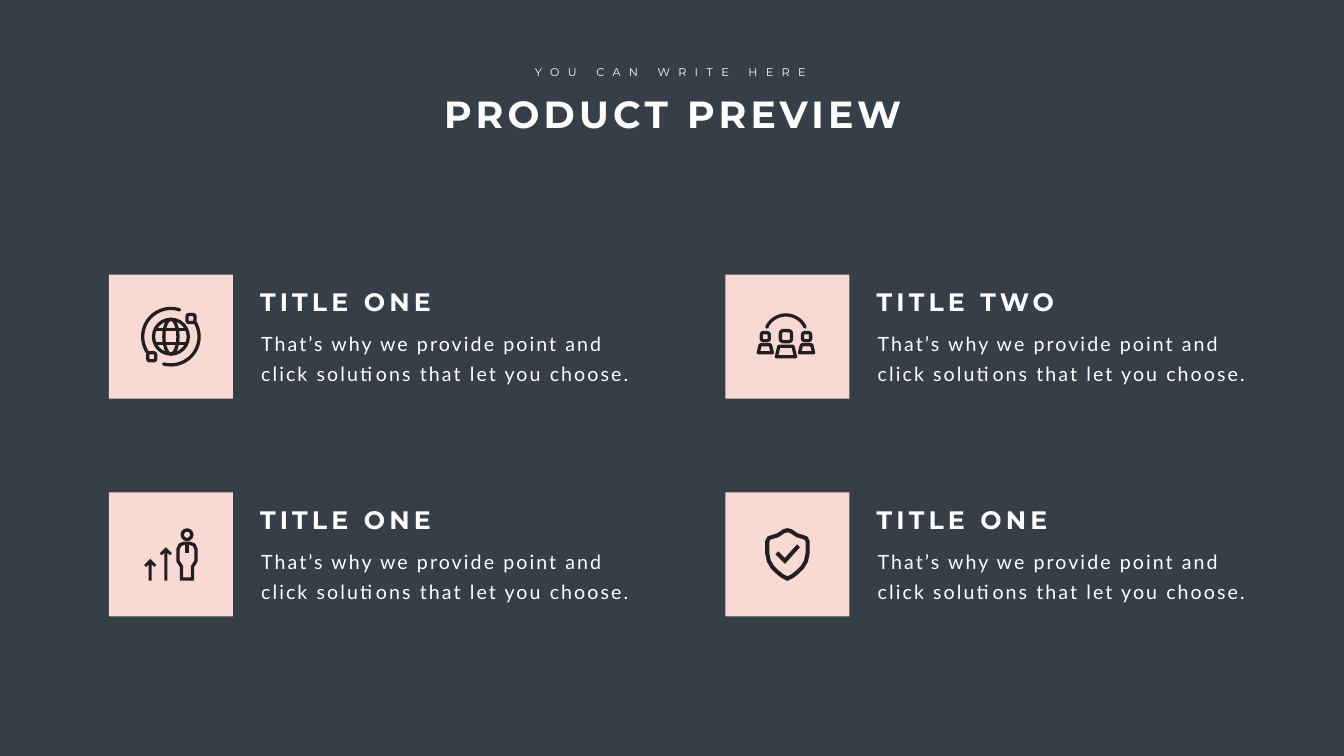
from math import cos, radians, sin

from lxml.etree import SubElement
from pptx import Presentation
from pptx.dml.color import RGBColor
from pptx.enum.shapes import MSO_CONNECTOR, MSO_SHAPE
from pptx.enum.text import MSO_ANCHOR, MSO_AUTO_SIZE, PP_ALIGN
from pptx.oxml.ns import qn
from pptx.util import Inches, Pt


def arc(center_x, center_y, radius, start, end, step_count=24):
    angles = [radians(start + (end - start) * step / step_count) for step in range(step_count + 1)]
    return [(center_x + radius * cos(angle), center_y + radius * sin(angle)) for angle in angles]


def torso(center_x, top, bottom, half_top, half_bottom):
    return [(center_x - half_top, top), (center_x + half_top, top),
            (center_x + half_bottom, bottom), (center_x - half_bottom, bottom)]


def mirrored(half, axis=0):
    points = half + [(-x, y) for x, y in reversed(half[1:-1])]
    return [(axis + x, y) for x, y in points]


def arrow(x, tip, base=0.52):
    return mirrored([(0, tip), (0.12, tip + 0.12), (0.08, tip + 0.16), (0.03, tip + 0.11),
                     (0.03, base), (0, base)], x)


BACKGROUND, TILE, INK, WHITE = "363E48", "F9D9D3", "231F20", "FFFFFF"
TITLE = "PRODUCT PREVIEW"
SUBTITLE = "YOU CAN WRITE HERE"
BODY = "That’s why we provide point and click solutions that let you choose."

GLOBE = [
    ("oval", (0, 0, 0.69, 0.69)),
    ("oval", (0, 0, 0.28, 0.69)),
    ("path", [(-0.3, -0.14), (0.3, -0.14)]),
    ("path", [(-0.3, 0.14), (0.3, 0.14)]),
    ("path", arc(0, 0, 0.56, -29, 105)),
    ("path", arc(0, 0, 0.56, 147, 288)),
    ("round", (0.4, -0.36, 0.16, 0.16)),
    ("round", (-0.38, 0.4, 0.16, 0.16)),
]
TEAM = [
    ("round", (-0.03, -0.01, 0.22, 0.22)),
    ("round", (-0.44, 0, 0.16, 0.16)),
    ("round", (0.38, 0, 0.16, 0.16)),
    ("loop", torso(-0.03, 0.19, 0.4, 0.14, 0.19)),
    ("loop", torso(-0.44, 0.16, 0.32, 0.1, 0.14)),
    ("loop", torso(0.38, 0.16, 0.32, 0.1, 0.14)),
    ("path", arc(-0.03, -0.01, 0.42, 205, 335)),
]
GROWTH = [
    ("oval", (0.32, -0.39, 0.19, 0.19)),
    ("loop", [(0.14, 0.13), (0.21, 0.24), (0.21, 0.49), (0.43, 0.49), (0.43, 0.24), (0.5, 0.13),
              (0.5, -0.1), (0.46, -0.19), (0.38, -0.22), (0.26, -0.22), (0.18, -0.19), (0.14, -0.1)]),
    ("path", [(0.32, -0.22), (0.32, -0.03)]),
    ("solid", arrow(-0.1, -0.14)),
    ("solid", arrow(-0.41, 0.09)),
]
SHIELD = [
    ("loop", mirrored([(0, -0.48), (0.07, -0.46), (0.19, -0.38), (0.32, -0.34), (0.37, -0.32),
                       (0.4, -0.26), (0.4, -0.02), (0.37, 0.13), (0.3, 0.25), (0.2, 0.35),
                       (0.1, 0.43), (0, 0.48)])),
    ("path", [(-0.21, -0.03), (-0.05, 0.13), (0.22, -0.17)]),
]
FEATURES = [("TITLE ONE", GLOBE, "rnd", 4.7), ("TITLE TWO", TEAM, "rnd", 4.7),
            ("TITLE ONE", GROWTH, "flat", 4.7), ("TITLE ONE", SHIELD, "flat", 5.8)]

COLUMNS = 2
LEFT, TOP, PITCH_X, PITCH_Y, TILE_SIZE = 2.16, 5.45, 12.23, 4.32, 2.46
PRESETS = {"oval": MSO_SHAPE.OVAL, "round": MSO_SHAPE.ROUNDED_RECTANGLE, "tile": MSO_SHAPE.RECTANGLE}
STYLES = {
    "title": ({"name": "Montserrat", "size": Pt(54), "bold": True}, 6),
    "subtitle": ({"name": "Montserrat", "size": Pt(16), "bold": False}, 12),
    "heading": ({"name": "Montserrat", "size": Pt(36), "bold": True}, 6),
    "body": ({"name": "Lato", "size": Pt(28), "bold": False}, 3),
}


def color(value):
    return RGBColor.from_string(value)


def write(box, text, style, frame_format, para_format):
    font_format, spacing = STYLES[style]
    frame = box.text_frame
    frame_values = {"auto_size": MSO_AUTO_SIZE.NONE, "vertical_anchor": MSO_ANCHOR.TOP,
                    "word_wrap": True, **frame_format}
    para = frame.paragraphs[0]
    span = para.add_run()
    span.text = text
    for target, values in ((frame, frame_values), (para, para_format), (span.font, font_format)):
        for name, value in values.items():
            setattr(target, name, value)
    span.font.color.rgb = color(WHITE)
    span.font._element.set("spc", str(spacing * 100))


def add_text(page, place, *content):
    write(page.shapes.add_textbox(*map(Inches, place)), *content)


def add_preset(page, kind, center_x, center_y, width, height):
    place = (center_x - width / 2, center_y - height / 2, width, height)
    return page.shapes.add_shape(PRESETS[kind], *map(Inches, place))


def add_outline(page, points, closed):
    points = [(Inches(x), Inches(y)) for x, y in points]
    if len(points) == 2:
        return page.shapes.add_connector(MSO_CONNECTOR.STRAIGHT, *points[0], *points[1])
    builder = page.shapes.build_freeform(*points[0])
    builder.add_line_segments(points[1:], close=closed)
    return builder.convert_to_shape()


def fill_solid(shape, value):
    shape.shadow.inherit = False
    shape.fill.solid()
    shape.fill.fore_color.rgb = color(value)
    shape.line.fill.background()


def stroke(shape, cap, weight):
    if hasattr(shape, "fill"):
        shape.fill.background()
    shape.line.color.rgb = color(INK)
    shape.line.width = Pt(weight)
    properties = shape._element.spPr
    line = properties.find(qn("a:ln"))
    line.set("cap", cap)
    SubElement(line, qn("a:round" if cap == "rnd" else "a:miter"))
    SubElement(properties, qn("a:effectLst"))


def add_icon(page, center_x, center_y, parts, cap, weight):
    for kind, data in parts:
        if kind in PRESETS:
            x, y, width, height = data
            shape = add_preset(page, kind, center_x + x, center_y + y, width, height)
        else:
            points = [(center_x + x, center_y + y) for x, y in data]
            shape = add_outline(page, points, kind != "path")
        if kind == "round":
            shape.adjustments[0] = 0.25
        if kind == "solid":
            fill_solid(shape, INK)
        else:
            stroke(shape, cap, weight)


def add_feature(page, left, top, heading, *icon):
    center_x, center_y = left + TILE_SIZE / 2, top + TILE_SIZE / 2
    fill_solid(add_preset(page, "tile", center_x, center_y, TILE_SIZE, TILE_SIZE), TILE)
    margins = {"margin_left": Inches(0.24), "margin_right": Inches(0.24),
               "margin_top": Inches(0.12), "margin_bottom": Inches(0.12)}
    add_text(page, (left + 2.78, top + 0.89, 8.03, 1.39), BODY, "body", margins, {"line_spacing": Pt(43)})
    add_text(page, (left + 2.9, top + 0.19, 4.41, 0.71), heading, "heading", {}, {})
    add_icon(page, center_x, center_y, *icon)


def main():
    deck = Presentation()
    deck.slide_width, deck.slide_height = Inches(26.66), Inches(15)
    page = deck.slides.add_slide(deck.slide_layouts[5])
    page.background.fill.solid()
    page.background.fill.fore_color.rgb = color(BACKGROUND)
    title = page.shapes.title
    for name, value in zip(("left", "top", "width", "height"), (8.6, 1.74, 9.5, 1.01)):
        setattr(title, name, Inches(value))
    centered = {"alignment": PP_ALIGN.CENTER}
    write(title, TITLE, "title", {"word_wrap": False}, centered)
    add_text(page, (10.41, 1.24, 5.78, 0.37), SUBTITLE, "subtitle", {"word_wrap": False}, centered)
    for index, feature in enumerate(FEATURES):
        row, column = divmod(index, COLUMNS)
        add_feature(page, LEFT + column * PITCH_X, TOP + row * PITCH_Y, *feature)
    deck.save("out.pptx")


if __name__ == "__main__":
    main()
